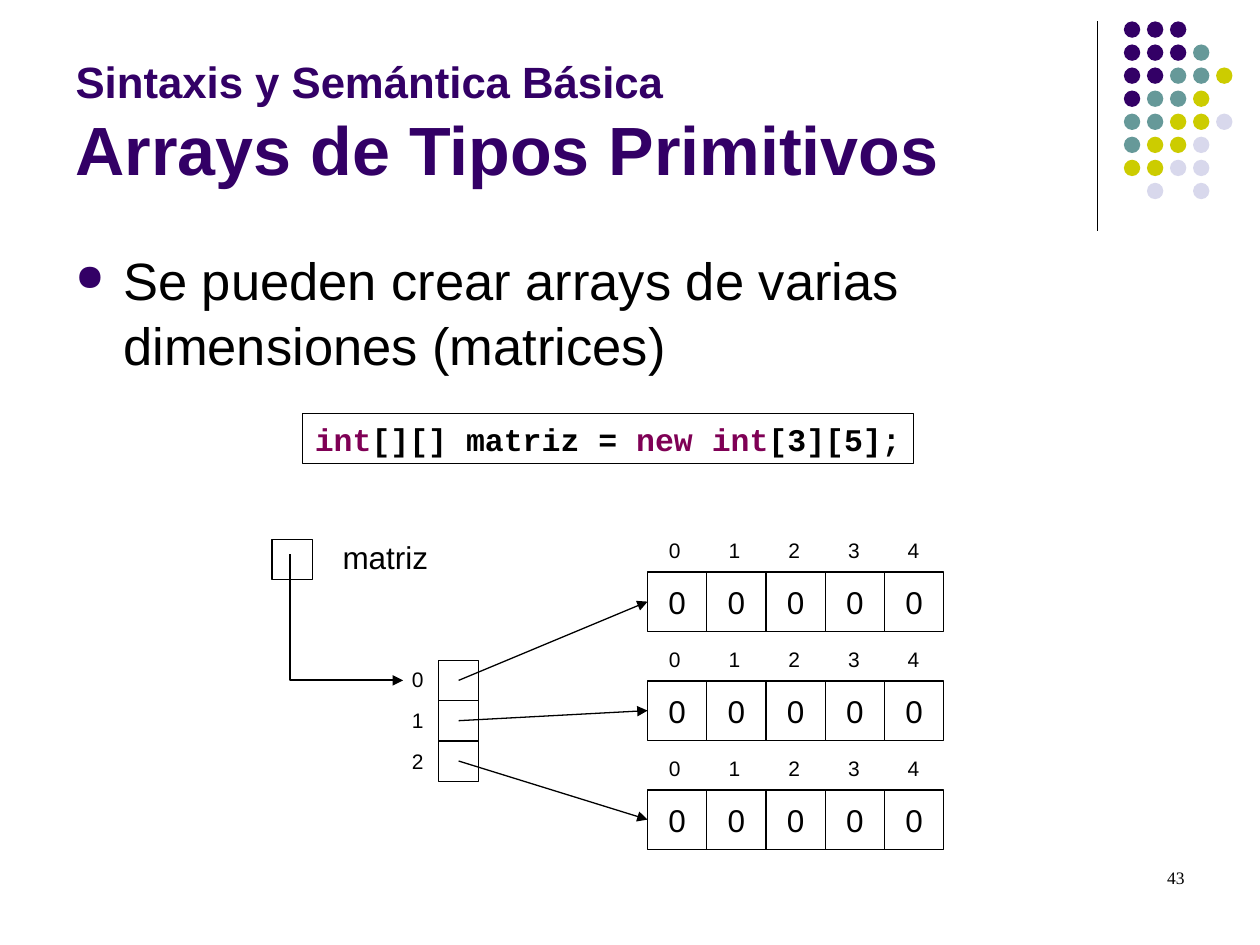
from dataclasses import dataclass
from typing import Optional

from lxml import etree
from pptx import Presentation
from pptx import util as u
from pptx.dml.color import RGBColor
from pptx.enum import shapes, text
from pptx.oxml.ns import qn


@dataclass(frozen=True)
class Theme:
    purple: str = "330066"
    teal: str = "669999"
    lime: str = "CCCC00"
    lavender: str = "D8D8EC"
    ink: str = "000000"
    keyword: str = "7F0055"
    sans: str = "Arial"
    mono: str = "Courier New"
    serif: str = "Times New Roman"
    kicker: float = 25
    heading: float = 39
    body: float = 30
    value: float = 18
    index: float = 12
    footer: float = 10
    thin: float = 0.75
    medium: float = 1


@dataclass(frozen=True)
class Box:
    left: float
    top: float
    width: float
    height: float

    @property
    def emu(self) -> tuple:
        return tuple(u.Emu(round(length * UNIT)) for length in
                     (self.left, self.top, self.width, self.height))

    @property
    def center(self) -> tuple:
        return self.left + self.width / 2, self.top + self.height / 2


@dataclass(frozen=True)
class Grid:
    left: float
    top: float
    column_pitch: float
    row_pitch: float
    width: float
    height: float

    def cell(self, column: int, row: int) -> Box:
        return Box(self.left + column * self.column_pitch,
                   self.top + row * self.row_pitch, self.width, self.height)


@dataclass(frozen=True)
class Style:
    font: str
    size: float
    color: str
    bold: bool = False


THEME = Theme()
COLUMNS, ROWS = 100, 75
UNIT = u.Inches(10) / COLUMNS
VALUE = Style(THEME.sans, THEME.value, THEME.ink)
INDEX = Style(THEME.sans, THEME.index, THEME.ink)
DOT_COLORS = {"P": THEME.purple, "T": THEME.teal, "Y": THEME.lime, "L": THEME.lavender}
DOT_ROWS = ("PPP", "PPPT", "PPTTY", "PTTY", "TTYYL", "TYYL", "YYLL", " L L")
DOTS = Grid(89.2, 1.7, 1.83, 1.83, 1.3, 1.3)
POINTERS = Grid(34.8, 52.4, 0, 3.2, 3.2, 3.2)
POINTER_INDEXES = Grid(31.7, 52.4, 0, 3.25, 2.9, 3)
VALUES = Grid(51.4, 45.4, 4.7, 8.65, 4.7, 4.7)
VALUE_INDEXES = Grid(52.1, 42.2, 4.74, 8.65, 2.9, 3)
MATRIX_ROWS, MATRIX_COLUMNS = 3, 5


def set_font(font, style: Style) -> None:
    font.name, font.size, font.bold = style.font, u.Pt(style.size), style.bold
    font.color.rgb = RGBColor.from_string(style.color)


def set_line(line, width: float) -> None:
    line.color.rgb = RGBColor.from_string(THEME.ink)
    line.width = u.Pt(width)


def add_arrowhead(line) -> None:
    etree.SubElement(line._get_or_add_ln(), qn("a:tailEnd"), type="triangle")


def write(shape, content: str, style: Style, align=text.PP_ALIGN.LEFT, wrap=False):
    shape.text_frame.word_wrap = wrap
    paragraph = shape.text_frame.paragraphs[0]
    paragraph.text = content
    paragraph.alignment = align
    set_font(paragraph.font, style)
    return paragraph


def add_label(slide, box: Box, content: str, style: Style, **options):
    return write(slide.shapes.add_textbox(*box.emu), content, style, **options)


def add_square(slide, box: Box):
    shape = slide.shapes.add_shape(shapes.MSO_SHAPE.RECTANGLE, *box.emu)
    shape.shadow.inherit = False
    shape.fill.background()
    set_line(shape.line, THEME.thin)
    return shape


def add_line(slide, start: tuple, end: tuple, target: Optional[object] = None) -> None:
    points = [u.Emu(round(value * UNIT)) for value in (*start, *end)]
    connector = slide.shapes.add_connector(shapes.MSO_CONNECTOR.STRAIGHT, *points)
    set_line(connector.line, THEME.thin)
    if target is not None:
        connector.end_connect(target, 1)
        add_arrowhead(connector.line)
    etree.SubElement(connector._element.spPr, qn("a:effectLst"))


def add_dots(slide) -> None:
    for row, pattern in enumerate(DOT_ROWS):
        for column, key in enumerate(pattern):
            if key in DOT_COLORS:
                dot = slide.shapes.add_shape(shapes.MSO_SHAPE.OVAL, *DOTS.cell(column, row).emu)
                dot.shadow.inherit = False
                dot.fill.solid()
                dot.fill.fore_color.rgb = RGBColor.from_string(DOT_COLORS[key])
                dot.line.fill.background()


def add_title(slide) -> None:
    title = slide.shapes.title
    title.left, title.top, title.width, title.height = Box(5, 1.3, 82.5, 14.2).emu
    title.text_frame.auto_size = text.MSO_AUTO_SIZE.NONE
    title.text_frame.vertical_anchor = text.MSO_ANCHOR.BOTTOM
    paragraph = write(title, "Sintaxis y Semántica Básica\vArrays de Tipos Primitivos",
                      Style(THEME.sans, THEME.heading, THEME.purple, True), wrap=True)
    paragraph.runs[0].font.size = u.Pt(THEME.kicker)


def add_bullet(slide) -> None:
    paragraph = add_label(slide, Box(5, 19, 90, 48), "", VALUE, wrap=True)
    properties = paragraph._p.get_or_add_pPr()
    properties.clear()
    properties.set("marL", str(u.Inches(0.38)))
    properties.set("indent", str(-u.Inches(0.38)))
    color = etree.SubElement(properties, qn("a:buClr"))
    etree.SubElement(color, qn("a:srgbClr"), val=THEME.purple)
    etree.SubElement(properties, qn("a:buSzPct"), val="70000")
    etree.SubElement(properties, qn("a:buChar"), char="●")
    paragraph.text = "Se pueden crear arrays de varias dimensiones (matrices)"
    paragraph.line_spacing = 1.04
    set_font(paragraph.font, Style(THEME.sans, THEME.body, THEME.ink))


def add_code(slide) -> None:
    paragraph = write(add_square(slide, Box(24, 32.8, 48.5, 4)), "",
                      Style(THEME.mono, THEME.value, THEME.ink, True))
    for content, color in (("int", THEME.keyword), ("[][] matriz = ", THEME.ink),
                           ("new int", THEME.keyword), ("[3][5];", THEME.ink)):
        run = paragraph.add_run()
        run.text = content
        set_font(run.font, Style(THEME.mono, THEME.value, color, True))


def add_reference(slide) -> None:
    add_square(slide, Box(21.6, 42.8, 3.2, 3.2))
    add_label(slide, Box(26.2, 42.2, 8.8, 4), "matriz", VALUE)
    builder = slide.shapes.build_freeform(23.2, 44.4, scale=UNIT)
    builder.add_line_segments([(23.2, 53.8), (31.9, 53.8)], close=False)
    elbow = builder.convert_to_shape()
    elbow.shadow.inherit = False
    elbow.fill.background()
    set_line(elbow.line, THEME.medium)
    add_arrowhead(elbow.line)


def add_matrix_row(slide, row: int) -> None:
    pointer = POINTERS.cell(0, row)
    add_square(slide, pointer)
    add_label(slide, POINTER_INDEXES.cell(0, row), str(row), INDEX)
    cells = [add_square(slide, VALUES.cell(column, row)) for column in range(MATRIX_COLUMNS)]
    for column, cell in enumerate(cells):
        write(cell, "0", VALUE, align=text.PP_ALIGN.CENTER)
        add_label(slide, VALUE_INDEXES.cell(column, row), str(column), INDEX)
    add_line(slide, pointer.center, VALUES.cell(0, row).center, cells[0])


def main() -> None:
    presentation = Presentation()
    presentation.slide_width = u.Emu(round(COLUMNS * UNIT))
    presentation.slide_height = u.Emu(round(ROWS * UNIT))
    slide = presentation.slides.add_slide(presentation.slide_layouts[5])
    add_line(slide, (87.1, 1.7), (87.1, 18.3))
    add_dots(slide)
    add_title(slide)
    add_bullet(slide)
    add_code(slide)
    add_reference(slide)
    for row in range(MATRIX_ROWS):
        add_matrix_row(slide, row)
    add_label(slide, Box(71.7, 68.3, 23.3, 5), "43",
              Style(THEME.serif, THEME.footer, THEME.ink), align=text.PP_ALIGN.RIGHT, wrap=True)
    presentation.save("out.pptx")


if __name__ == "__main__":
    main()
